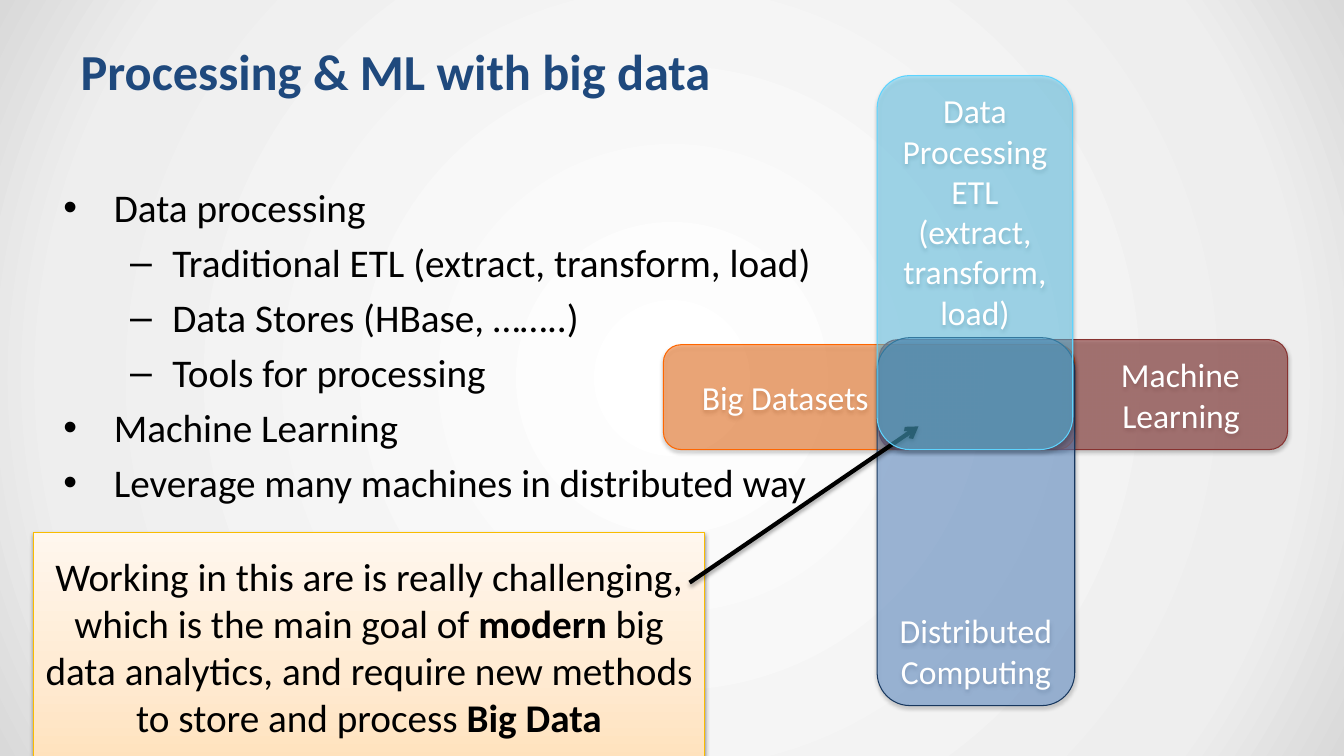
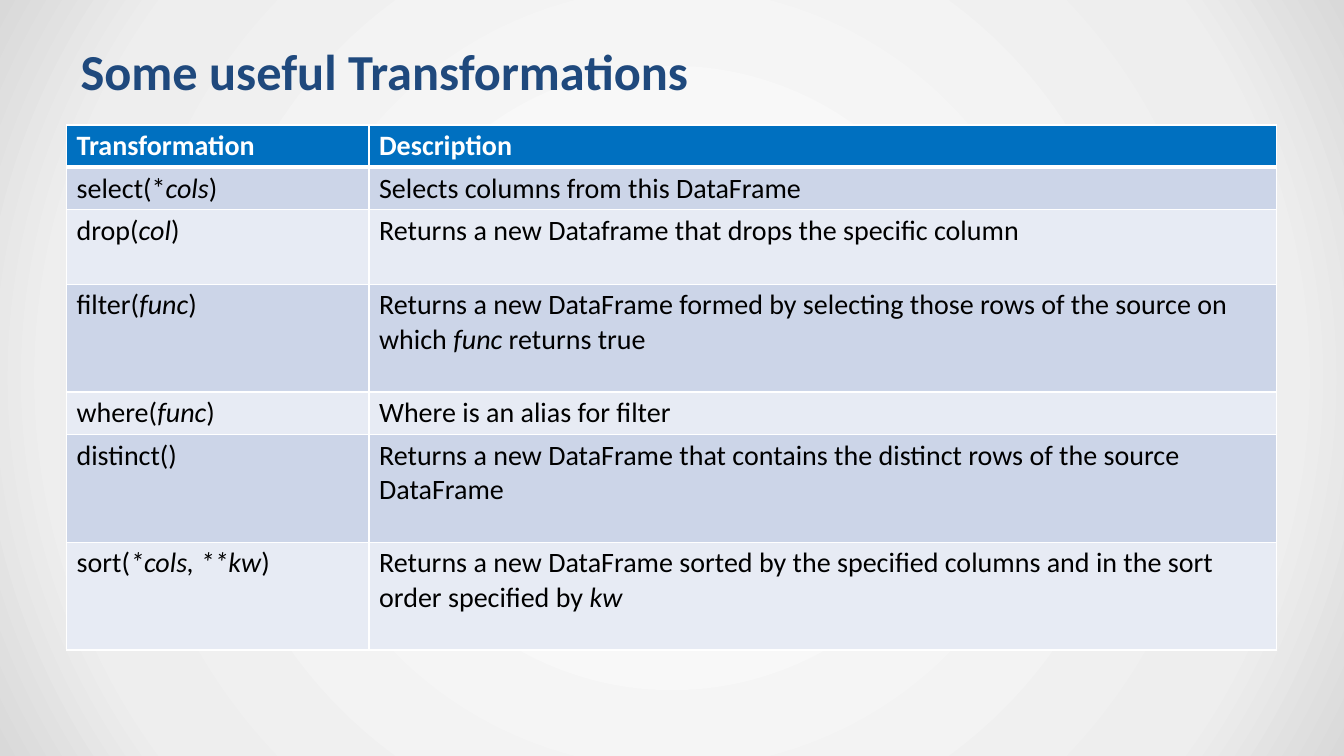
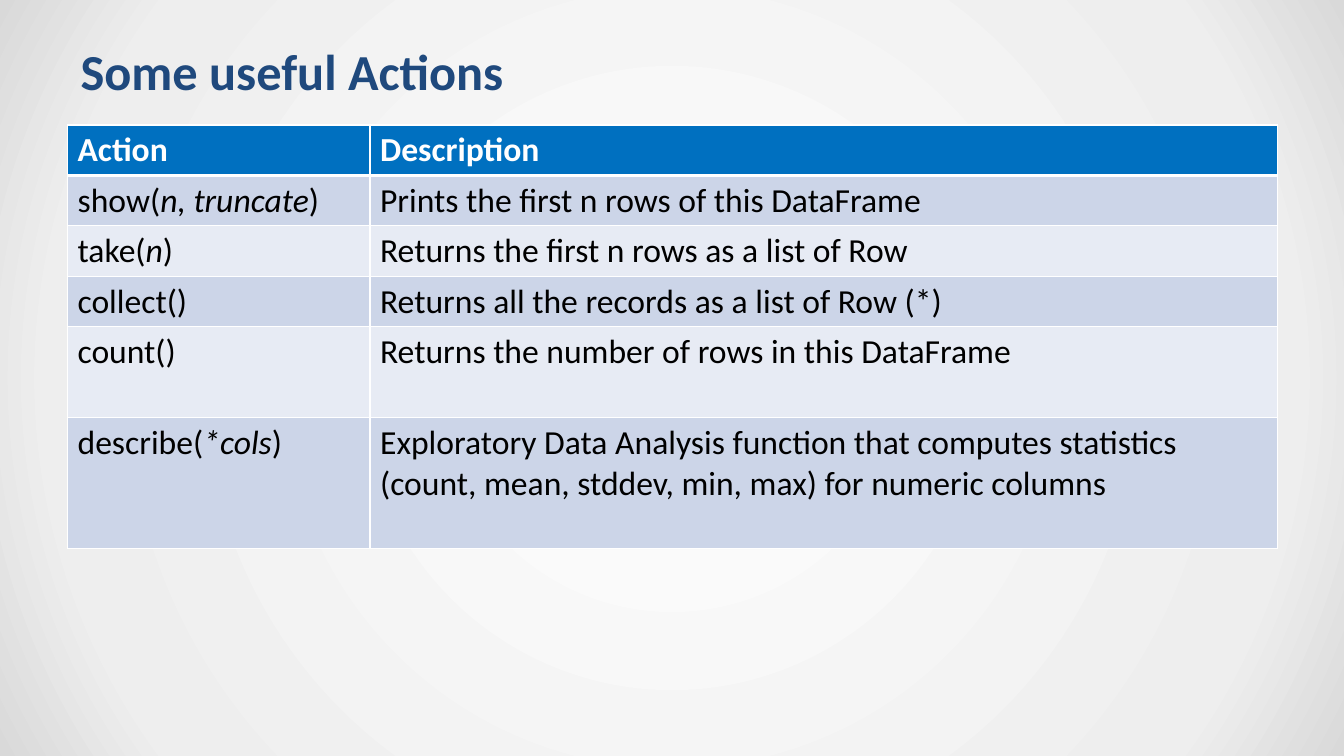
from dataclasses import dataclass

from lxml.etree import SubElement
from pptx import Presentation
from pptx.dml.color import RGBColor
from pptx.enum.dml import MSO_THEME_COLOR
from pptx.enum.shapes import MSO_CONNECTOR, MSO_SHAPE
from pptx.enum.text import MSO_ANCHOR, PP_ALIGN
from pptx.oxml import parse_xml
from pptx.oxml.ns import nsdecls, qn
from pptx.util import Inches, Pt

FONT = "Calibri"
NAVY, BLACK, WHITE = "1F497D", "000000", "FFFFFF"
HEADER_BLUE = "0070C0"
BANDS = ("CCD5E8", "E7EBF4")
BACKDROP = ((0, "FFFFFF"), (81, "EEEEEE"), (100, "D9D9D9"))
PEACH = ((0, "FFE2BD"), (35, "FFEAD1"), (100, "FFF7EE"))
RADIAL = ('<a:path path="circle"><a:fillToRect l="50000" t="50000" '
          'r="50000" b="50000"/></a:path>')
UPWARD = '<a:lin ang="16200000" scaled="0"/>'


@dataclass(frozen=True)
class Area:
    """A labelled area of the overlap diagram; alpha is its opacity in percent."""
    text: str
    box: tuple[float, float, float, float]
    fill: str
    line: str
    alpha: int
    align: PP_ALIGN = PP_ALIGN.CENTER
    anchor: MSO_ANCHOR = MSO_ANCHOR.MIDDLE
    left: float = 0.1
    right: float = 0.1


@dataclass(frozen=True)
class Reference:
    """A two-column function reference; underscores enclose italic text."""
    title: str
    left: float
    size: int
    inset: float
    heights: tuple[float, ...]
    rows: tuple[tuple[str, str], ...]


AREAS = (
    Area("Big Datasets", (6.58, 3.42, 4.08, 1.04), "FF6600", "FF6600", 45,
         align=PP_ALIGN.LEFT, left=0.33),
    Area("Machine\nLearning", (8.72, 3.37, 4.05, 1.09), "873230", "873230", 57,
         align=PP_ALIGN.RIGHT, right=0.42),
    Area("Distributed Computing", (8.7, 3.35, 1.96, 3.65), "558ED5", "17375E", 45,
         anchor=MSO_ANCHOR.BOTTOM),
)
PROCESSING = Area("Data Processing ETL (extract, transform, load)",
                  (8.7, 0.75, 1.94, 3.71), "5DD4FF", "5DD4FF", 45,
                  anchor=MSO_ANCHOR.TOP)
BULLETS = (
    (0, "Data processing"),
    (1, "Traditional ETL (extract, transform, load)"),
    (1, "Data Stores (HBase, ……..)"),
    (1, "Tools for processing"),
    (0, "Machine Learning"),
    (0, "Leverage many machines in distributed way"),
)
BULLET_STYLES = (("•", 0.5, -0.5), ("–", 1.08, -0.42))
CHALLENGE = ("Working in this are is really challenging, which is the main goal of "
             "_modern_ big data analytics, and require new methods to store and "
             "process _Big Data_")

TRANSFORMATIONS = Reference(
    "Some useful Transformations", 0.66, 20, 0.04,
    (0.42, 0.42, 0.74, 1.07, 0.42, 1.07, 1.07),
    (
        ("Transformation", "Description"),
        ("select(*_cols_)", "Selects columns from this DataFrame"),
        ("drop(_col_)", "Returns a new Dataframe that drops the specific column"),
        ("filter(_func_)", "Returns a new DataFrame formed by selecting those rows "
                           "of the source on which _func_ returns true"),
        ("where(_func_)", "Where is an alias for filter"),
        ("distinct()", "Returns a new DataFrame that contains the distinct rows "
                       "of the source DataFrame"),
        ("sort(_*cols, **kw_)", "Returns a new DataFrame sorted by the specified "
                                "columns and in the sort order specified by _kw_"),
    ),
)
ACTIONS = Reference(
    "Some useful Actions", 0.67, 24, 0.05,
    (0.5, 0.5, 0.5, 0.5, 0.9, 1.3),
    (
        ("Action", "Description"),
        ("show(_n, truncate_)", "Prints the first n rows of this DataFrame"),
        ("take(_n_)", "Returns the first n rows as a list of Row"),
        ("collect()", "Returns all the records as a list of Row (*)"),
        ("count()", "Returns the number of rows in this DataFrame"),
        ("describe(_*cols_)", "Exploratory Data Analysis function that computes "
                              "statistics (count, mean, stddev, min, max) for "
                              "numeric columns"),
    ),
)


def rgb(value: str) -> RGBColor:
    return RGBColor.from_string(value)


def gradient(stops: tuple, direction: str):
    marks = "".join(f'<a:gs pos="{position * 1000}"><a:srgbClr val="{color}"/></a:gs>'
                    for position, color in stops)
    return parse_xml(f'<a:gradFill {nsdecls("a")} rotWithShape="1">'
                     f'<a:gsLst>{marks}</a:gsLst>{direction}</a:gradFill>')


def replace_solid(parent, fill) -> None:
    """Put a fill element in the place of the solid fill under parent."""
    parent.replace(parent.find(qn("a:solidFill")), fill)


def add_shadow(properties, alpha: int = 35, distance: float = 1.8) -> None:
    effects = properties.find(qn("a:effectLst"))
    if effects is None:
        effects = SubElement(properties, qn("a:effectLst"))
    effects.append(parse_xml(
        f'<a:outerShdw {nsdecls("a")} blurRad="{Pt(3.1)}" dist="{Pt(distance)}" '
        f'dir="5400000" rotWithShape="0"><a:srgbClr val="{BLACK}">'
        f'<a:alpha val="{alpha * 1000}"/></a:srgbClr></a:outerShdw>'))


def style_font(paragraph, size: float, color: str, bold: bool = False) -> None:
    font = paragraph.font
    font.name, font.size, font.bold = FONT, Pt(size), bold
    font.color.rgb = rgb(color)


def write_marked(paragraph, text: str, emphasis: str) -> None:
    """Add runs, with the parts between underscores in bold or italic."""
    for index, part in enumerate(text.split("_")):
        if part:
            run = paragraph.add_run()
            run.text = part
            if index % 2:
                setattr(run.font, emphasis, True)


def add_text_frame(slide, box: tuple[float, float, float, float]):
    frame = slide.shapes.add_textbox(*map(Inches, box)).text_frame
    frame.word_wrap = True
    frame.margin_left = frame.margin_right = Inches(0.13)
    frame.margin_top = frame.margin_bottom = Inches(0.07)
    return frame


def add_titled_slide(deck, title: str, width: float = 12):
    slide = deck.slides.add_slide(deck.slide_layouts[6])
    frame = add_text_frame(slide, (0.67, 0.3, width, 0.8))
    frame.vertical_anchor = MSO_ANCHOR.MIDDLE
    frame.text = title
    style_font(frame.paragraphs[0], 36, NAVY, bold=True)
    return slide


def add_box(slide, kind: MSO_SHAPE, box: tuple, fill: str, line: str):
    shape = slide.shapes.add_shape(kind, *map(Inches, box))
    shape.shadow.inherit = False
    shape.fill.solid()
    shape.fill.fore_color.rgb = rgb(fill)
    shape.line.color.rgb = rgb(line)
    shape.line.width = Pt(0.75)
    shape.text_frame.word_wrap = True
    return shape


def add_area(slide, area: Area) -> None:
    shape = add_box(slide, MSO_SHAPE.FLOWCHART_ALTERNATE_PROCESS,
                    area.box, area.fill, area.line)
    color = shape._element.spPr.find(qn("a:solidFill"))[0]
    SubElement(color, qn("a:alpha"), val=str(area.alpha * 1000))
    add_shadow(shape._element.spPr)
    frame = shape.text_frame
    frame.vertical_anchor = area.anchor
    frame.margin_left, frame.margin_right = Inches(area.left), Inches(area.right)
    frame.text = area.text
    for paragraph in frame.paragraphs:
        paragraph.alignment = area.align
        style_font(paragraph, 24, WHITE)


def add_bullets(slide) -> None:
    frame = add_text_frame(slide, (0.5, 1.75, 12.83, 5.75))
    for index, (level, text) in enumerate(BULLETS):
        paragraph = frame.add_paragraph() if index else frame.paragraphs[0]
        paragraph.text = text
        paragraph.level = level
        if index:
            paragraph.space_before = Pt(5.6)
        mark, margin, indent = BULLET_STYLES[level]
        properties = paragraph._p.get_or_add_pPr()
        properties.set("marL", str(Inches(margin)))
        properties.set("indent", str(Inches(indent)))
        SubElement(properties, qn("a:buFont"), typeface="Arial")
        SubElement(properties, qn("a:buChar"), char=mark)
        style_font(paragraph, 28, BLACK)


def add_challenge(slide) -> None:
    """Draw the callout and its arrow into the overlap."""
    callout = add_box(slide, MSO_SHAPE.RECTANGLE, (0.33, 5.28, 6.66, 2.26),
                      PEACH[0][1], "F9BC00")
    replace_solid(callout._element.spPr, gradient(PEACH, UPWARD))
    add_shadow(callout._element.spPr, alpha=38, distance=1.6)
    callout.text_frame.vertical_anchor = MSO_ANCHOR.MIDDLE
    paragraph = callout.text_frame.paragraphs[0]
    paragraph.alignment = PP_ALIGN.CENTER
    write_marked(paragraph, CHALLENGE, "bold")
    style_font(paragraph, 28, BLACK)

    arrow = slide.shapes.add_connector(
        MSO_CONNECTOR.STRAIGHT, *map(Inches, (6.84, 5.78, 9.11, 4.23)))
    arrow.line.color.rgb = rgb(BLACK)
    arrow.line.width = Pt(3)
    SubElement(arrow.line._get_or_add_ln(), qn("a:tailEnd"), type="arrow")
    add_shadow(arrow._element.spPr)


def add_borders(cell, top: int, bottom: int) -> None:
    properties = cell._tc.get_or_add_tcPr()
    for side, width in (("L", 1), ("R", 1), ("T", top), ("B", bottom)):
        properties.append(parse_xml(
            f'<a:ln{side} {nsdecls("a")} w="{Pt(width)}"><a:solidFill>'
            f'<a:srgbClr val="{WHITE}"/></a:solidFill></a:ln{side}>'))


def add_reference_slide(deck, reference: Reference) -> None:
    slide = add_titled_slide(deck, reference.title)
    table = slide.shapes.add_table(
        len(reference.rows), 2, Inches(reference.left), Inches(1.24),
        Inches(12), Inches(sum(reference.heights))).table
    table.horz_banding = False
    table.columns[0].width, table.columns[1].width = Inches(3), Inches(9)
    for index, (texts, height) in enumerate(zip(reference.rows, reference.heights)):
        table.rows[index].height = Inches(height)
        header = index == 0
        for cell, text in zip(table.rows[index].cells, texts):
            add_borders(cell, top=3 if index == 1 else 1, bottom=3 if header else 1)
            cell.fill.solid()
            cell.fill.fore_color.rgb = rgb(
                HEADER_BLUE if header else BANDS[(index - 1) % 2])
            cell.margin_top = cell.margin_bottom = Inches(reference.inset)
            paragraph = cell.text_frame.paragraphs[0]
            write_marked(paragraph, text, "italic")
            style_font(paragraph, reference.size, WHITE if header else BLACK, header)


def add_overview_slide(deck) -> None:
    slide = add_titled_slide(deck, "Processing & ML with big data", 7.75)
    add_bullets(slide)
    for area in AREAS:
        add_area(slide, area)
    add_challenge(slide)
    add_area(slide, PROCESSING)


def set_backdrop(deck) -> None:
    """Give every slide the radial grey backdrop through the master."""
    master = deck.slide_master
    fill = master.background.fill
    fill.solid()
    fill.fore_color.theme_color = MSO_THEME_COLOR.BACKGROUND_1
    replace_solid(master._element.cSld.bg.bgPr, gradient(BACKDROP, RADIAL))


def main() -> None:
    deck = Presentation()
    deck.slide_width, deck.slide_height = Inches(13.33), Inches(7.5)
    set_backdrop(deck)
    add_overview_slide(deck)
    for reference in (TRANSFORMATIONS, ACTIONS):
        add_reference_slide(deck, reference)
    deck.save("out.pptx")


if __name__ == "__main__":
    main()
